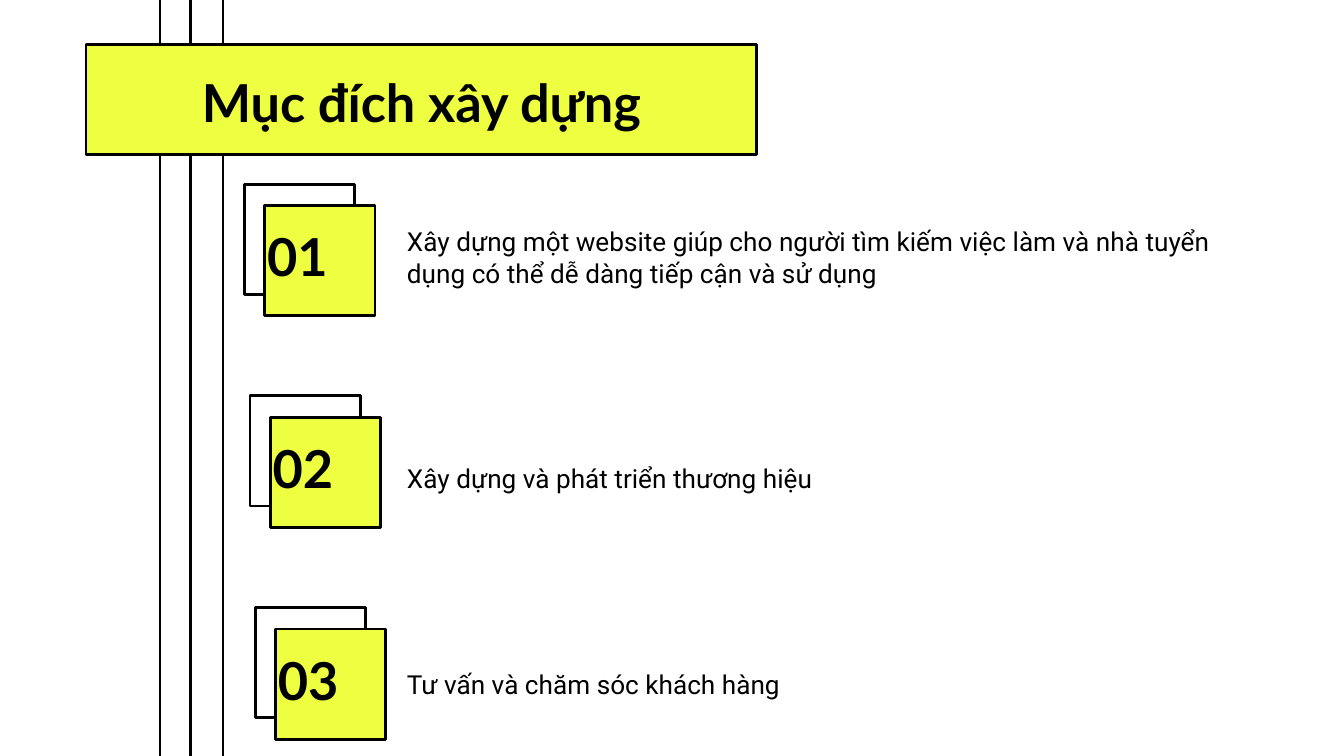
"""Build the slide that lists three numbered goals beside a vertical rail."""
from dataclasses import dataclass

from lxml import etree
from pptx import Presentation
from pptx.dml.color import RGBColor
from pptx.enum.shapes import MSO_CONNECTOR, MSO_SHAPE
from pptx.enum.text import MSO_ANCHOR, MSO_AUTO_SIZE, PP_ALIGN
from pptx.oxml.ns import qn
from pptx.util import Inches, Pt

RECT = MSO_SHAPE.RECTANGLE
LINE = MSO_CONNECTOR.STRAIGHT
TOP = MSO_ANCHOR.TOP
LEFT, MID = PP_ALIGN.LEFT, PP_ALIGN.CENTER
GROW, FIXED = MSO_AUTO_SIZE.SHAPE_TO_FIT_TEXT, MSO_AUTO_SIZE.NONE
WIDE = 10
HIGH = WIDE * 9 / 16


@dataclass(frozen=True)
class Theme:
    ink: RGBColor = RGBColor(0, 0, 0)
    lime: RGBColor = RGBColor(0xEE, 0xFF, 0x41)
    white: RGBColor = RGBColor(255, 255, 255)
    head: str = "Lato"
    body: str = "Roboto"
    large: float = 28
    small: float = 14
    rule: float = 1.5
    inset: float = 0.1


@dataclass(frozen=True)
class Box:
    x: float
    y: float
    w: float
    h: float


@dataclass(frozen=True)
class Goal:
    text: str
    x: float
    top: float
    high: float


THEME = Theme()
RAILS = (1.66, 1.19, 1.42)
FIRST, LAST, SIDE = 1.37, 4.52, 0.82
GOALS = (
    Goal("Xây dựng một website giúp cho người tìm kiếm việc làm và nhà tuyển "
         "dụng có thể dễ dàng tiếp cận và sử dụng", 1.82, 1.58, 0.67),
    Goal("Xây dựng và phát triển thương hiệu", 1.86, 3.34, 0.44),
    Goal("Tư vấn và chăm sóc khách hàng", 1.9, 4.87, 0.44),
)
STEP = (LAST - FIRST) / (len(GOALS) - 1)


def units(box: Box) -> tuple:
    """Return the place and size of a box as lengths."""
    return tuple(Inches(n) for n in (box.x, box.y, box.w, box.h))


def rail(slide, x: float) -> None:
    """Draw one line over the full height of the slide."""
    line = slide.shapes.add_connector(
        LINE, Inches(x), Inches(HIGH), Inches(x), Inches(0))
    line.line.color.rgb = THEME.ink
    line.line.width = Pt(THEME.rule)
    etree.SubElement(line._element.spPr, qn("a:effectLst"))


def panel(slide, box: Box, fill: RGBColor) -> None:
    """Draw an outlined rectangle."""
    shape = slide.shapes.add_shape(RECT, *units(box))
    shape.shadow.inherit = False
    shape.fill.solid()
    shape.fill.fore_color.rgb = fill
    shape.line.color.rgb = THEME.ink
    shape.line.width = Pt(THEME.rule)


def write(slide, box: Box, text: str, *, font: str = THEME.head,
          size: float = THEME.large, bold: bool = True,
          align: PP_ALIGN = LEFT, fit: MSO_AUTO_SIZE = FIXED) -> None:
    """Place formatted text in a wrapping box."""
    frame = slide.shapes.add_textbox(*units(box)).text_frame
    frame.word_wrap = True
    frame.auto_size = fit
    frame.vertical_anchor = TOP
    frame.margin_left = frame.margin_right = Inches(THEME.inset)
    frame.margin_top = frame.margin_bottom = Inches(THEME.inset)
    para = frame.paragraphs[0]
    para.alignment = align
    run = para.add_run()
    run.text = text
    run.font.name = font
    run.font.size = Pt(size)
    run.font.bold = bold
    run.font.color.rgb = THEME.ink


def badge(slide, rank: int, goal: Goal) -> None:
    """Draw two offset squares with a number on the front one."""
    x, y = goal.x, FIRST + rank * STEP
    panel(slide, Box(x, y, SIDE, SIDE), THEME.white)
    panel(slide, Box(x + 0.15, y + 0.16, SIDE, SIDE), THEME.lime)
    write(slide, Box(x + 0.07, y + 0.2, 0.96, 0.7), f"{rank + 1:02}")


def main() -> None:
    """Build and save the slide."""
    deck = Presentation()
    deck.slide_width, deck.slide_height = Inches(WIDE), Inches(HIGH)
    slide = deck.slides.add_slide(deck.slide_layouts[6])
    for x in RAILS:
        rail(slide, x)
    panel(slide, Box(0.64, 0.33, 4.99, 0.82), THEME.lime)
    write(slide, Box(1, 0.42, 4.27, 0.63), "Mục đích xây dựng", align=MID)
    for rank, goal in enumerate(GOALS):
        badge(slide, rank, goal)
    for goal in GOALS:
        write(slide, Box(2.93, goal.top, 6.43, goal.high), goal.text,
              font=THEME.body, size=THEME.small, bold=False, fit=GROW)
    deck.save("out.pptx")


main()
